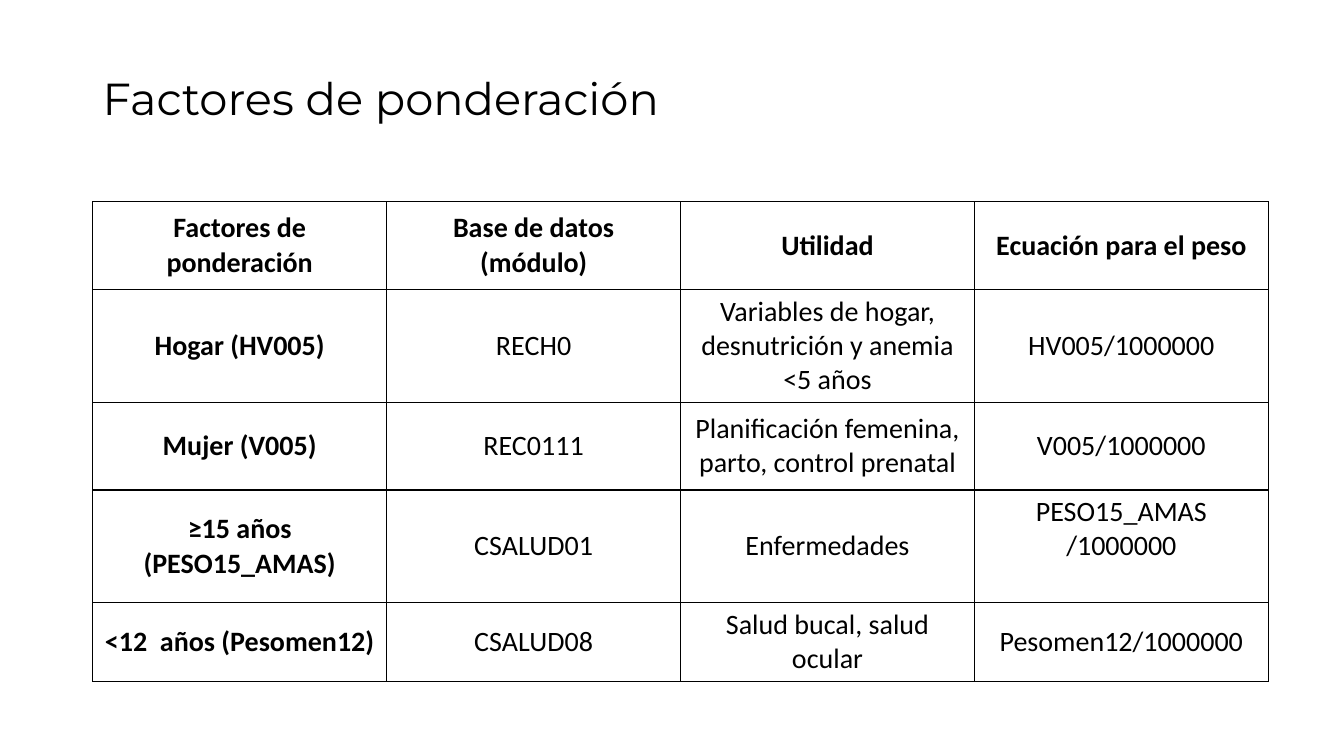
from lxml import etree
from pptx import Presentation, util as u
from pptx.dml.color import RGBColor
from pptx.enum import text
from pptx.oxml import ns

HUES = {"ink": "000000", "paper": "FFFFFF"}
ROWS = [
    ["Factores de ponderación", "Base de datos (módulo)", "Utilidad", "Ecuación para el peso"],
    ["Hogar (HV005)", "RECH0", "Variables de hogar, desnutrición y anemia <5 años", "HV005/1000000"],
    ["Mujer (V005)", "REC0111", "Planificación femenina, parto, control prenatal", "V005/1000000"],
    ["≥15 años (PESO15_AMAS)", "CSALUD01", "Enfermedades", "PESO15_AMAS /1000000"],
    ["<12  años (Pesomen12)", "CSALUD08", "Salud bucal, salud ocular", "Pesomen12/1000000"],
]
HEIGHTS = [0.87, 1.12, 0.87, 1.12, 0.78]
TOP_CELL = (3, 3)


def hue(name):
    """Return the named colour."""
    return RGBColor.from_string(HUES[name])


def style(para, face, size, bold=False):
    """Set the font of a paragraph."""
    font = para.font
    font.name, font.size, font.bold = face, u.Pt(size), bold
    font.color.rgb = hue("ink")


def border(cell):
    """Draw a thin line on each side of a cell, ahead of its fill."""
    props = cell._tc.get_or_add_tcPr()
    for spot, side in enumerate(("lnL", "lnR", "lnT", "lnB")):
        line = etree.Element(ns.qn("a:" + side), w=str(u.Pt(1)))
        fill = etree.SubElement(line, ns.qn("a:solidFill"))
        etree.SubElement(fill, ns.qn("a:srgbClr"), val=HUES["ink"])
        props.insert(spot, line)


def title(slide, left, top, width, height):
    """Place the slide title in the given box."""
    box = slide.shapes.add_textbox(*map(u.Inches, (left, top, width, height)))
    frame = box.text_frame
    frame.word_wrap = True
    frame.vertical_anchor = text.MSO_ANCHOR.MIDDLE
    para = frame.paragraphs[0]
    para.text = "Factores de ponderación"
    para.line_spacing = 0.9
    style(para, "Montserrat", 32)


def grid(slide, left, top, width):
    """Place the table of weights from the given corner and width."""
    count = len(ROWS[0])
    size = (left, top, width, sum(HEIGHTS))
    table = slide.shapes.add_table(len(ROWS), count, *map(u.Inches, size)).table
    table.horz_banding = False
    for col in table.columns:
        col.width = u.Inches(width / count)
    for r, (row, tall) in enumerate(zip(ROWS, HEIGHTS)):
        table.rows[r].height = u.Inches(tall)
        for c, words in enumerate(row):
            cell = table.cell(r, c)
            cell.fill.solid()
            cell.fill.fore_color.rgb = hue("paper")
            border(cell)
            at_top = (r, c) == TOP_CELL
            cell.vertical_anchor = text.MSO_ANCHOR.TOP if at_top else text.MSO_ANCHOR.MIDDLE
            para = cell.text_frame.paragraphs[0]
            para.text = words
            para.alignment = text.PP_ALIGN.CENTER
            style(para, "Calibri", 20, r == 0 or c == 0)


def main():
    """Build and save the slide."""
    deck = Presentation()
    deck.slide_width, deck.slide_height = u.Inches(13.33), u.Inches(7.5)
    slide = deck.slides.add_slide(deck.slide_layouts[6])
    grid(slide, 0.92, 2, 11.66)
    title(slide, 0.92, 0.77, 8.19, 0.46)
    deck.save("out.pptx")


if __name__ == "__main__":
    main()
